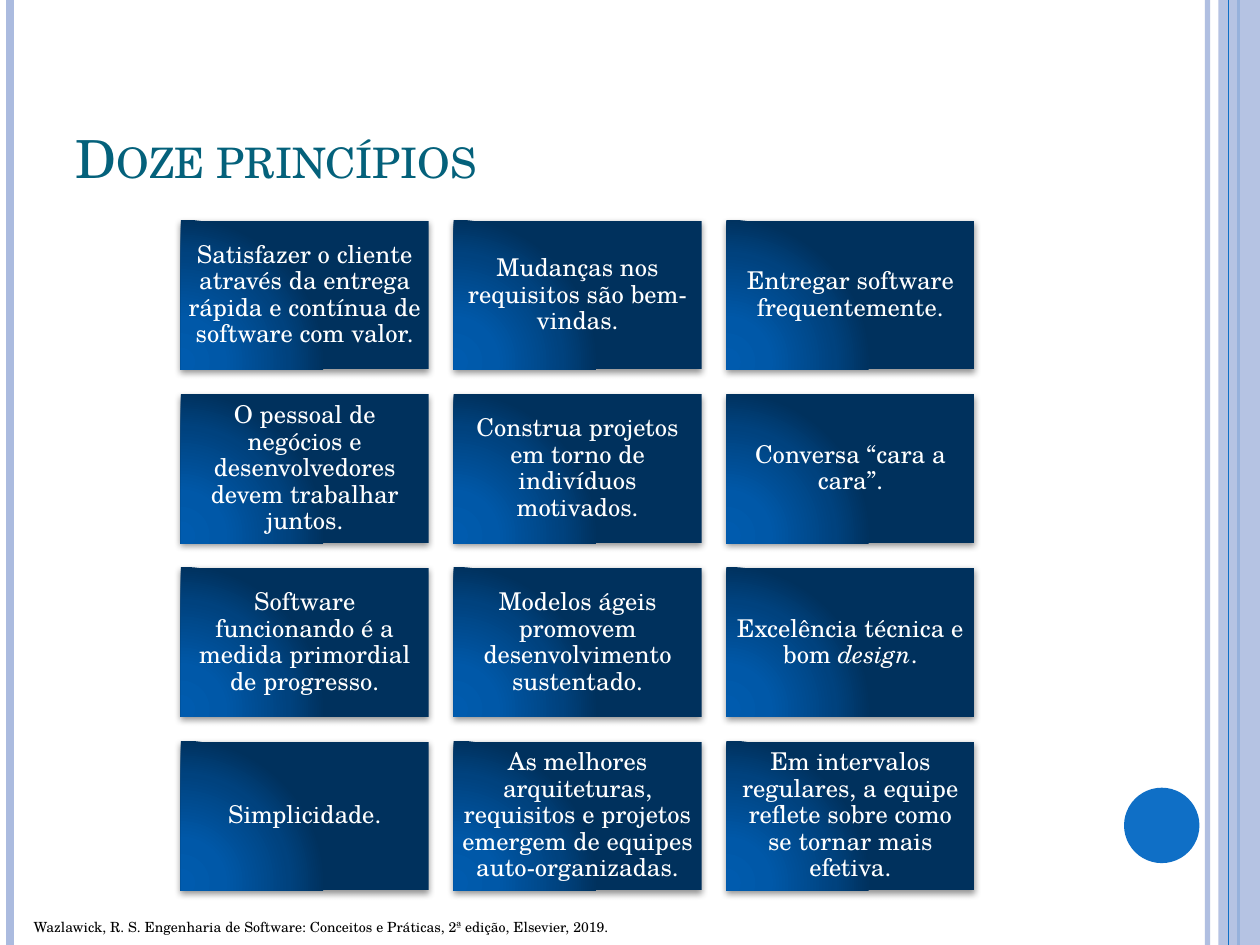
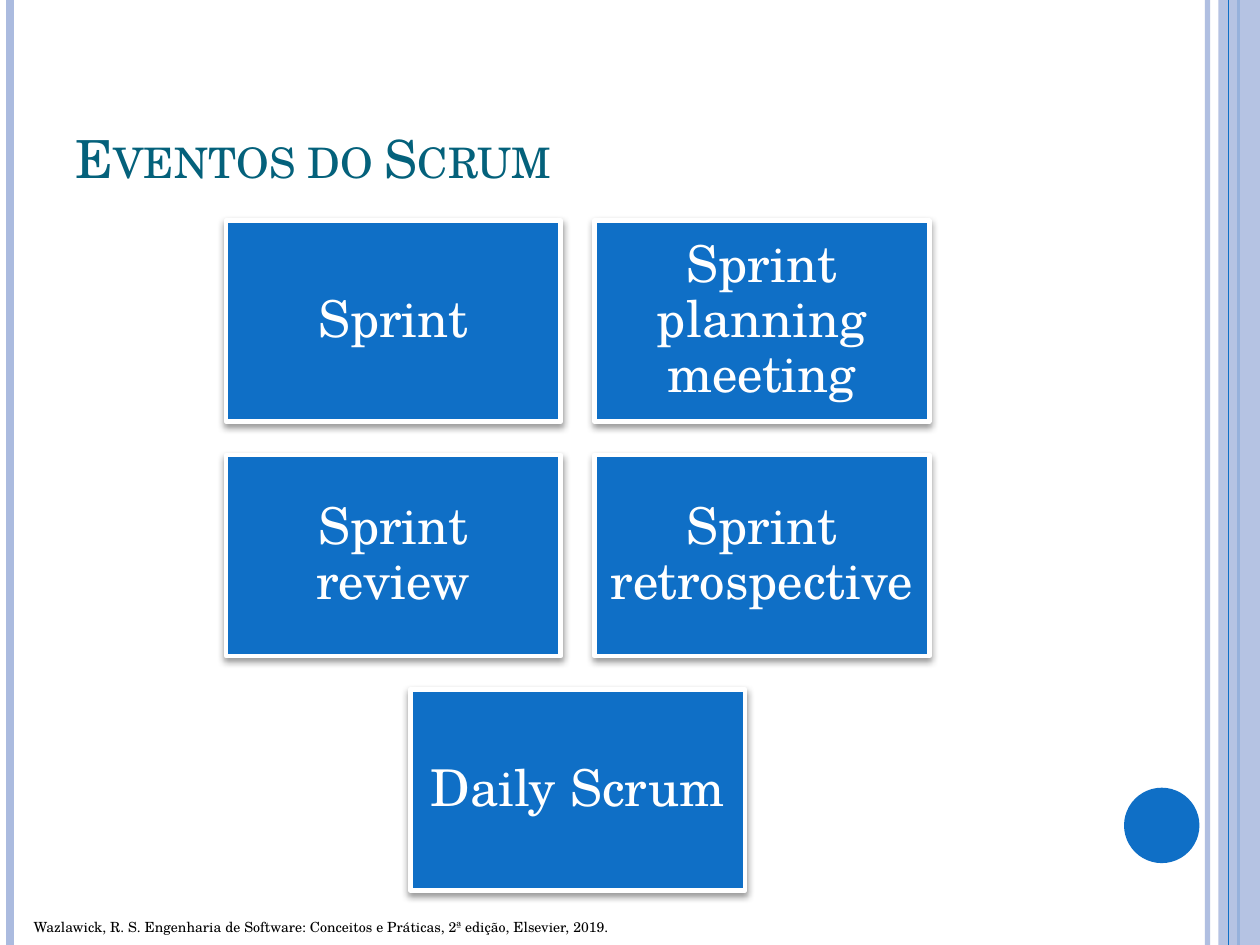
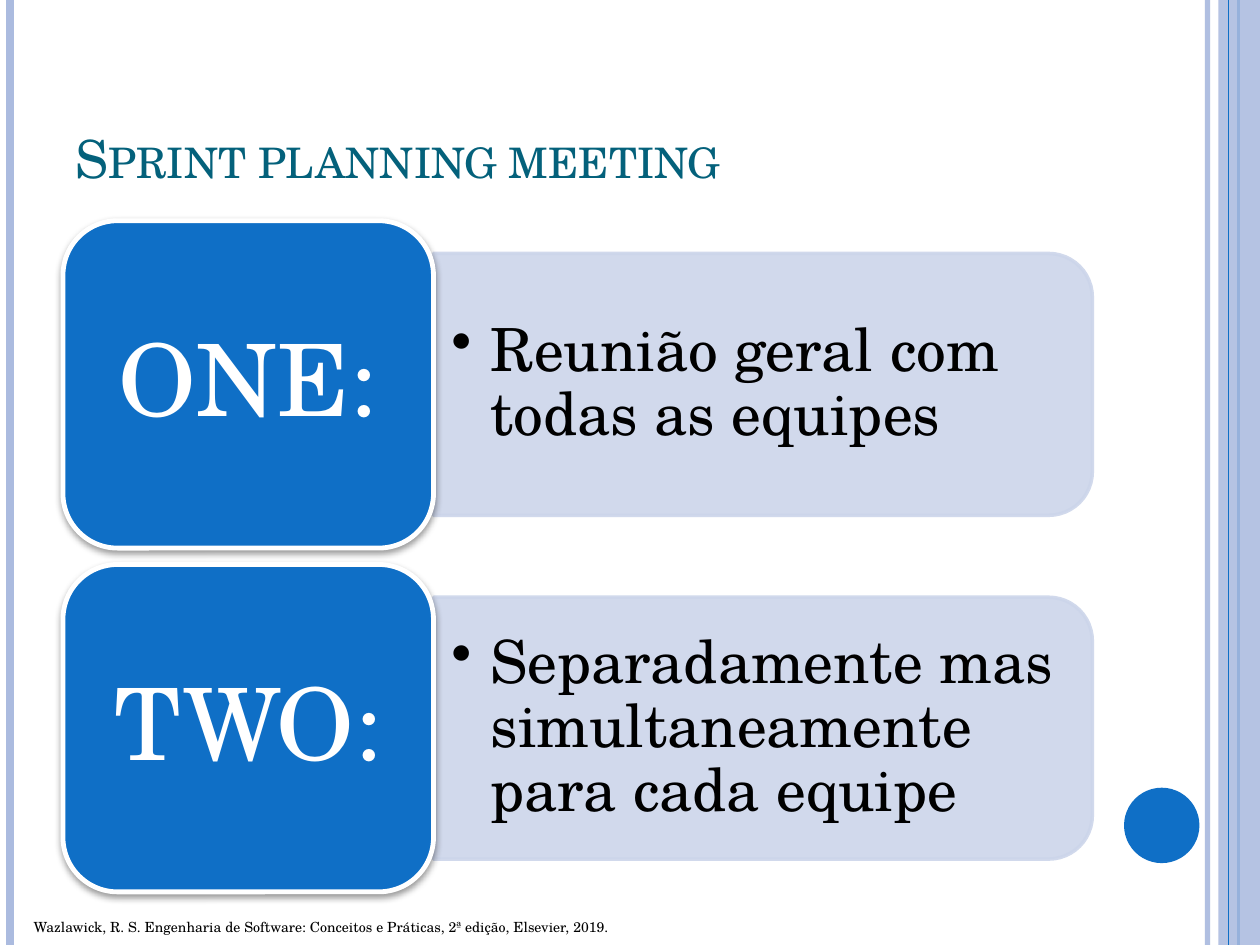
from dataclasses import dataclass

from lxml.etree import SubElement
from pptx import Presentation
from pptx.dml.color import RGBColor
from pptx.enum.shapes import MSO_CONNECTOR, MSO_SHAPE
from pptx.enum.text import MSO_ANCHOR, MSO_AUTO_SIZE, PP_ALIGN
from pptx.oxml import parse_xml
from pptx.oxml.ns import nsdecls, qn
from pptx.shapes.autoshape import Shape
from pptx.slide import Slide
from pptx.text.text import TextFrame
from pptx.util import Cm, Pt

FONT = "TeX Gyre Schola"
BLUE = "0F6FC6"
LAVENDER = "ABBBDF"
PALE = "CCD5EA"
TEAL = "04617B"
WHITE = "FFFFFF"
BLACK = "000000"
GRADIENT = ((0, "005BAE"), (30, "0058A8"), (75, "00427E"), (100, "00315D"))

SLIDE_WIDTH, SLIDE_HEIGHT = 25.4, 19.05
CONTENT_LEFT, CONTENT_TOP, CONTENT_WIDTH = 1.27, 4.45, 20.75
CITATION = (
    "Wazlawick, R. S. Engenharia de Software: Conceitos e Práticas, "
    "2ª edição, Elsevier, 2019."
)


@dataclass(frozen=True)
class Box:
    """A rectangle in centimetres."""

    left: float
    top: float
    width: float
    height: float

    def lengths(self) -> tuple[Cm, Cm, Cm, Cm]:
        return Cm(self.left), Cm(self.top), Cm(self.width), Cm(self.height)


@dataclass(frozen=True)
class Rule:
    """A vertical line over the whole slide height."""

    x: float
    color: str
    width: float
    opacity: int = 100


@dataclass(frozen=True)
class CardStyle:
    columns: int
    width: float
    size: float
    inset: float
    gradient: bool = False


@dataclass(frozen=True)
class Stage:
    label: str
    description: str


RULES_BEHIND_BAND = (
    Rule(24.34, LAVENDER, 3, 93),
    Rule(0.21, LAVENDER, 4.5),
    Rule(24.97, BLUE, 1.5),
)
RULE_ON_BAND = Rule(24.77, BLUE, 0.75)
BAND = Box(24.56, 0, 0.84, SLIDE_HEIGHT)
DISC = Box(22.66, 15.88, 1.52, 1.52)

# Words between asterisks are set in italics.
PRINCIPLES = (
    "Satisfazer o cliente através da entrega rápida e contínua de software com valor.",
    "Mudanças nos requisitos são bem-vindas.",
    "Entregar software frequentemente.",
    "O pessoal de negócios e desenvolvedores devem trabalhar juntos.",
    "Construa projetos em torno de indivíduos motivados.",
    "Conversa “cara a cara”.",
    "Software funcionando é a medida primordial de progresso.",
    "Modelos ágeis promovem desenvolvimento sustentado.",
    "Excelência técnica e bom *design*.",
    "Simplicidade.",
    "As melhores arquiteturas, requisitos e projetos emergem de equipes auto-organizadas.",
    "Em intervalos regulares, a equipe reflete sobre como se tornar mais efetiva.",
)
EVENTS = (
    "Sprint",
    "Sprint planning meeting",
    "Sprint review",
    "Sprint retrospective",
    "Daily Scrum",
)
STAGES = (
    Stage("ONE:", "Reunião geral com todas as equipes"),
    Stage("TWO:", "Separadamente mas simultaneamente para cada equipe"),
)
PRINCIPLE_STYLE = CardStyle(columns=3, width=5, size=14, inset=0.15, gradient=True)
EVENT_STYLE = CardStyle(columns=2, width=6.75, size=29, inset=0.3)


def rgb(color: str) -> RGBColor:
    return RGBColor.from_string(color)


def set_opacity(element, percent: int) -> None:
    """Apply an opacity to every colour below the element."""
    for color in element.iter(qn("a:srgbClr")):
        SubElement(color, qn("a:alpha"), val=str(percent * 1000))


def add_filled_shape(
    slide: Slide, kind: MSO_SHAPE, box: Box, fill: str,
    line: str | None = None, line_width: float = 0, opacity: int = 100,
) -> Shape:
    shape = slide.shapes.add_shape(kind, *box.lengths())
    shape.shadow.inherit = False
    shape.fill.solid()
    shape.fill.fore_color.rgb = rgb(fill)
    if line:
        shape.line.color.rgb = rgb(line)
        shape.line.width = Pt(line_width)
    else:
        shape.line.fill.background()
    if opacity < 100:
        set_opacity(shape._element.spPr, opacity)
    return shape


def add_shadow(shape: Shape, distance: float, opacity: int) -> None:
    effects = shape._element.spPr.find(qn("a:effectLst"))
    effects.append(parse_xml(
        f'<a:outerShdw {nsdecls("a")} blurRad="{Pt(4)}" dist="{Pt(distance)}" '
        f'dir="5400000" rotWithShape="0"><a:srgbClr val="{BLACK}"/></a:outerShdw>'
    ))
    set_opacity(effects, opacity)


def fill_with_gradient(shape: Shape) -> None:
    stops = "".join(
        f'<a:gs pos="{position * 1000}"><a:srgbClr val="{color}"/></a:gs>'
        for position, color in GRADIENT
    )
    properties = shape._element.spPr
    properties.replace(properties.find(qn("a:solidFill")), parse_xml(
        f'<a:gradFill {nsdecls("a")} rotWithShape="1"><a:gsLst>{stops}</a:gsLst>'
        '<a:path path="circle"><a:fillToRect l="5000" t="100000" r="120000" b="10000"/>'
        "</a:path></a:gradFill>"
    ))


def write_text(
    frame: TextFrame, text: str, size: float, color: str,
    alignment: PP_ALIGN = PP_ALIGN.CENTER, insets: tuple[float, float] | None = None,
    bullet_indent: float = 0, line_spacing: float = 0.9,
) -> None:
    """Fill a frame with one paragraph; insets are horizontal, then vertical."""
    frame.word_wrap = True
    frame.vertical_anchor = MSO_ANCHOR.MIDDLE
    if insets:
        frame.margin_left = frame.margin_right = Cm(insets[0])
        frame.margin_top = frame.margin_bottom = Cm(insets[1])
    paragraph = frame.paragraphs[0]
    paragraph.alignment = alignment
    paragraph.line_spacing = line_spacing
    if bullet_indent:
        properties = paragraph._p.get_or_add_pPr()
        properties.set("marL", str(Cm(bullet_indent)))
        properties.set("indent", str(-Cm(bullet_indent)))
        SubElement(properties, qn("a:buChar"), char="•")
    paragraph.font.name = FONT
    paragraph.font.size = Pt(size)
    paragraph.font.color.rgb = rgb(color)
    for index, part in enumerate(text.split("*")):
        run = paragraph.add_run()
        run.text = part
        if index % 2:
            run.font.italic = True


def add_rule(slide: Slide, rule: Rule) -> None:
    connector = slide.shapes.add_connector(
        MSO_CONNECTOR.STRAIGHT, Cm(rule.x), Cm(0), Cm(rule.x), Cm(SLIDE_HEIGHT)
    )
    connector.line.color.rgb = rgb(rule.color)
    connector.line.width = Pt(rule.width)
    if rule.opacity < 100:
        set_opacity(connector._element.spPr, rule.opacity)
    SubElement(connector._element.spPr, qn("a:effectLst"))


def add_citation(slide: Slide) -> None:
    text_box = slide.shapes.add_textbox(*Box(0.43, 18.39, 12.27, 0.6).lengths())
    frame = text_box.text_frame
    write_text(frame, CITATION, 8, BLACK, PP_ALIGN.LEFT, line_spacing=1)
    frame.word_wrap = False
    frame.vertical_anchor = MSO_ANCHOR.TOP
    frame.auto_size = MSO_AUTO_SIZE.SHAPE_TO_FIT_TEXT


def format_title(slide: Slide, text: str) -> None:
    title = slide.shapes.title
    box = Box(CONTENT_LEFT, 0.76, CONTENT_WIDTH, 3.18)
    title.left, title.top, title.width, title.height = box.lengths()
    frame = title.text_frame
    write_text(frame, text, 30, TEAL, PP_ALIGN.LEFT, line_spacing=1)
    frame.vertical_anchor = MSO_ANCHOR.BOTTOM
    frame.auto_size = MSO_AUTO_SIZE.NONE
    frame.paragraphs[0]._p.pPr.find(qn("a:defRPr")).set("cap", "small")


def add_titled_slide(presentation: Presentation, title: str) -> Slide:
    """Add a slide with the shared rules, band, disc, citation and title."""
    slide = presentation.slides.add_slide(presentation.slide_layouts[5])
    for rule in RULES_BEHIND_BAND:
        add_rule(slide, rule)
    add_filled_shape(slide, MSO_SHAPE.RECTANGLE, BAND, LAVENDER, opacity=87)
    add_rule(slide, RULE_ON_BAND)
    add_filled_shape(slide, MSO_SHAPE.OVAL, DISC, BLUE)
    add_citation(slide)
    format_title(slide, title)
    return slide


def add_card(slide: Slide, box: Box, text: str, style: CardStyle) -> None:
    if style.gradient:
        shape = add_filled_shape(slide, MSO_SHAPE.RECTANGLE, box, BLUE)
        fill_with_gradient(shape)
        add_shadow(shape, 1.6, 42)
    else:
        shape = add_filled_shape(slide, MSO_SHAPE.RECTANGLE, box, BLUE, WHITE, 2.75)
        add_shadow(shape, 2, 40)
    write_text(shape.text_frame, text, style.size, WHITE, insets=(style.inset, style.inset))


def add_card_grid(slide: Slide, texts: tuple[str, ...], style: CardStyle) -> None:
    """Lay out cards in rows, each row centred in the content area."""
    gap = style.width / 10
    height = style.width * 0.6
    for start in range(0, len(texts), style.columns):
        row = texts[start:start + style.columns]
        row_width = len(row) * (style.width + gap) - gap
        left = CONTENT_LEFT + (CONTENT_WIDTH - row_width) / 2
        top = CONTENT_TOP + start // style.columns * (height + gap)
        for column, text in enumerate(row):
            box = Box(left + column * (style.width + gap), top, style.width, height)
            add_card(slide, box, text, style)


def add_stage(slide: Slide, stage: Stage, top: float) -> None:
    label_box = Box(CONTENT_LEFT, top, 7.47, 6.6)
    panel_left = label_box.left + label_box.width
    panel_width, panel_height = CONTENT_WIDTH - label_box.width, 5.28
    middle = top + label_box.height / 2

    # The panel is turned a quarter, so its width and height trade places.
    upright = Box(
        panel_left + (panel_width - panel_height) / 2, middle - panel_width / 2,
        panel_height, panel_width,
    )
    panel = add_filled_shape(
        slide, MSO_SHAPE.ROUND_2_SAME_RECTANGLE, upright, PALE, PALE, 2, opacity=90
    )
    panel.rotation = 90

    text_height = 4.78
    text_box = slide.shapes.add_textbox(
        *Box(panel_left, middle - text_height / 2, 13.03, text_height).lengths()
    )
    write_text(
        text_box.text_frame, stage.description, 34, BLACK, PP_ALIGN.LEFT,
        insets=(0.36, 0.18), bullet_indent=0.79,
    )

    label = add_filled_shape(
        slide, MSO_SHAPE.ROUNDED_RECTANGLE, label_box, BLUE, WHITE, 2.75
    )
    add_shadow(label, 2, 40)
    write_text(label.text_frame, stage.label, 57, WHITE, insets=(0.6, 0.3))


def main() -> None:
    presentation = Presentation()
    presentation.slide_width = Cm(SLIDE_WIDTH)
    presentation.slide_height = Cm(SLIDE_HEIGHT)

    principles = add_titled_slide(presentation, "Doze princípios")
    add_card_grid(principles, PRINCIPLES, PRINCIPLE_STYLE)

    events = add_titled_slide(presentation, "Eventos do Scrum")
    add_card_grid(events, EVENTS, EVENT_STYLE)

    planning = add_titled_slide(presentation, "Sprint planning meeting")
    for index, stage in enumerate(STAGES):
        add_stage(planning, stage, CONTENT_TOP + index * 6.93)

    presentation.save("out.pptx")


if __name__ == "__main__":
    main()
